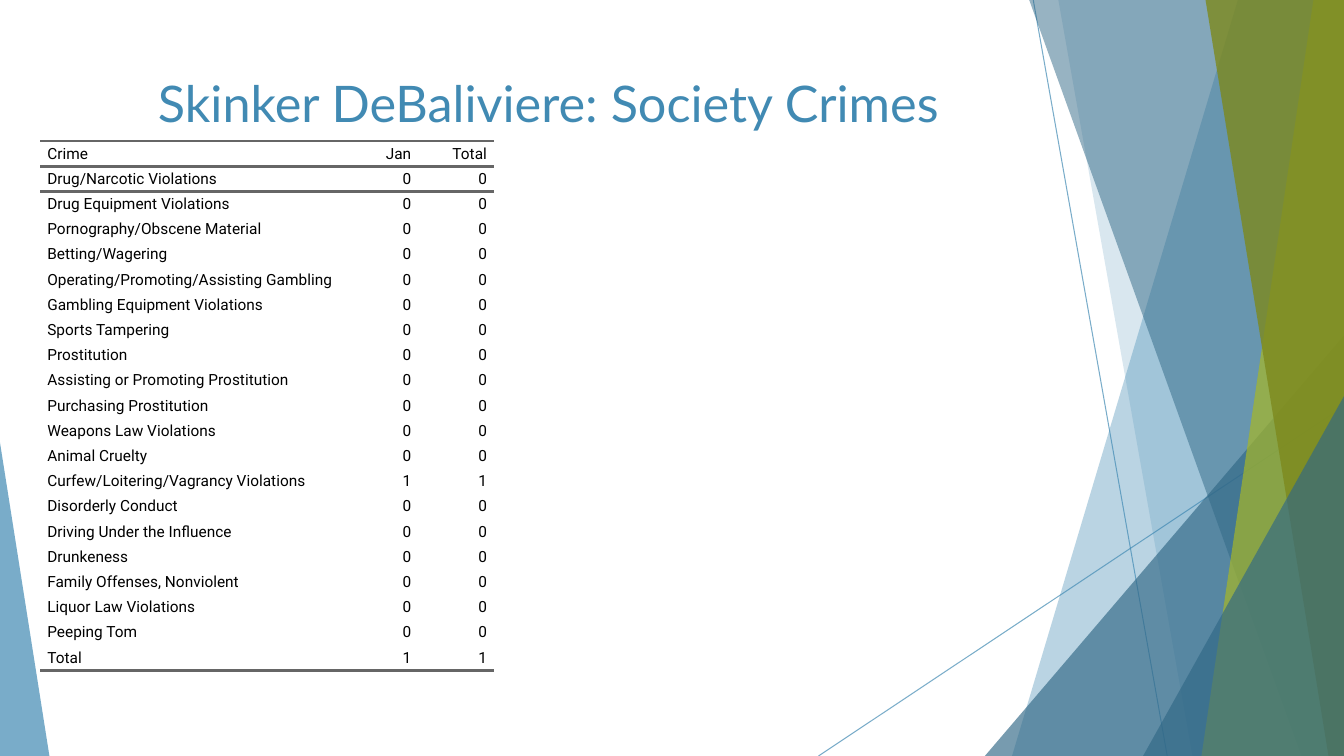
from lxml import etree
from pptx import Presentation
from pptx import util as u
from pptx.dml.color import RGBColor
from pptx.enum import shapes, text
from pptx.oxml.ns import qn

BLUE = RGBColor(0x41, 0x8A, 0xB3)
DEEP = RGBColor(0x31, 0x68, 0x86)
LIME = RGBColor(0xA6, 0xB7, 0x27)
OLIVE = RGBColor(0x7D, 0x89, 0x1D)
RULE = RGBColor(0x66, 0x66, 0x66)
BLACK = RGBColor(0, 0, 0)

W, H = u.Inches(13.333), u.Inches(7.5)
ROW_H = H // 30
PAD = u.Inches(0.07)
NO_STYLE = "{2D5ABB26-0587-4C30-8999-92F81FD0307C}"

CRIMES = [
    "Drug/Narcotic Violations", "Drug Equipment Violations",
    "Pornography/Obscene Material", "Betting/Wagering",
    "Operating/Promoting/Assisting Gambling", "Gambling Equipment Violations",
    "Sports Tampering", "Prostitution", "Assisting or Promoting Prostitution",
    "Purchasing Prostitution", "Weapons Law Violations", "Animal Cruelty",
    "Curfew/Loitering/Vagrancy Violations", "Disorderly Conduct",
    "Driving Under the Influence", "Drunkeness", "Family Offenses, Nonviolent",
    "Liquor Law Violations", "Peeping Tom",
]
JAN = {"Curfew/Loitering/Vagrancy Violations": 1}


def px(share):
    """Percent of the slide width."""
    return u.Emu(round(W * share / 100))


def py(share):
    """Percent of the slide height."""
    return u.Emu(round(H * share / 100))


def apply(obj, **values):
    for name, value in values.items():
        setattr(obj, name, value)


def set_alpha(sp, percent):
    color = next(sp._element.spPr.iter(qn("a:srgbClr")))
    etree.SubElement(color, qn("a:alpha"), val=str(percent * 1000))


def paint(sp, color, alpha):
    sp.shadow.inherit = False
    sp.fill.solid()
    sp.fill.fore_color.rgb = color
    set_alpha(sp, alpha)
    sp.line.fill.background()


def add_line(s, x1, y1, x2, y2):
    line = s.shapes.add_connector(
        shapes.MSO_CONNECTOR.STRAIGHT, px(x1), py(y1), px(x2), py(y2))
    line.line.color.rgb = BLUE
    line.line.width = u.Pt(0.75)
    set_alpha(line, 70)
    etree.SubElement(line._element.spPr, qn("a:effectLst"))


def add_facet(s, top_x, bottom_x, color, alpha):
    """Full-height panel from a slanted left edge to the right of the slide."""
    fb = s.shapes.build_freeform(px(top_x), 0)
    fb.add_line_segments([(W, 0), (W, H), (px(bottom_x), H)], close=True)
    paint(fb.convert_to_shape(), color, alpha)


def add_corner(s, left, top, width, apex, color, alpha):
    """Triangle that stands on the bottom edge, with its apex at 0 or 1."""
    sp = s.shapes.add_shape(shapes.MSO_SHAPE.ISOSCELES_TRIANGLE,
                            px(left), py(top), px(width), H - py(top))
    sp.adjustments[0] = apex
    paint(sp, color, alpha)


def add_rules(cell, sides):
    tcPr = cell._tc.get_or_add_tcPr()
    for side in sides:
        ln = etree.SubElement(tcPr, qn("a:ln" + side), w=str(u.Pt(2)))
        fill = etree.SubElement(ln, qn("a:solidFill"))
        etree.SubElement(fill, qn("a:srgbClr"), val=str(RULE))


def fill_cell(cell, value, align, sides):
    add_rules(cell, sides)
    cell.fill.background()
    apply(cell, margin_left=PAD, margin_right=PAD, margin_top=0,
          margin_bottom=0, vertical_anchor=text.MSO_ANCHOR.MIDDLE)
    p = cell.text_frame.paragraphs[0]
    p.alignment = align
    r = p.add_run()
    r.text = str(value)
    apply(r.font, name="Roboto", size=u.Pt(11), bold=False)
    r.font.color.rgb = BLACK


def add_crime_table(s, left, top, col_shares):
    counts = [(crime, JAN.get(crime, 0)) for crime in CRIMES]
    counts.append(("Total", sum(JAN.values())))
    rows = [("Crime", "Jan", "Total")] + [(c, n, n) for c, n in counts]
    frame = s.shapes.add_table(len(rows), len(col_shares), px(left), py(top),
                               px(sum(col_shares)), ROW_H * len(rows))
    table = frame.table
    apply(table, first_row=False, horz_banding=False)
    table._tbl.tblPr.find(qn("a:tableStyleId")).text = NO_STYLE
    for col, share in zip(table.columns, col_shares):
        col.width = px(share)
    rules = {0: "TB", 1: "T", len(rows) - 1: "B"}
    for i, row in enumerate(rows):
        table.rows[i].height = ROW_H
        for j, value in enumerate(row):
            align = text.PP_ALIGN.RIGHT if j else text.PP_ALIGN.LEFT
            fill_cell(table.cell(i, j), value, align, rules.get(i, ""))


def add_title(s, words, left, top, width, height):
    tf = s.shapes.add_textbox(px(left), py(top), px(width), py(height)).text_frame
    apply(tf, word_wrap=True, vertical_anchor=text.MSO_ANCHOR.TOP)
    p = tf.paragraphs[0]
    p.alignment = text.PP_ALIGN.CENTER
    r = p.add_run()
    r.text = words
    apply(r.font, name="Lato", size=u.Pt(36))
    r.font.color.rgb = BLUE


def main():
    prs = Presentation()
    apply(prs, slide_width=W, slide_height=H)
    s = prs.slides.add_slide(prs.slide_layouts[6])

    # Faceted backdrop, from back to front
    add_line(s, 76.88, 0, 86.85, 100)
    add_line(s, 100, 53.73, 60.9, 100)
    add_facet(s, 92.1, 75.3, BLUE, 36)
    add_facet(s, 78.75, 88.73, BLUE, 20)
    add_corner(s, 73.28, 44.4, 26.72, 1, DEEP, 66)
    add_facet(s, 76.58, 96.83, DEEP, 50)
    add_facet(s, 97.73, 89.4, LIME, 70)
    add_facet(s, 89.7, 98.85, OLIVE, 80)
    add_corner(s, 85.05, 52.4, 14.95, 1, DEEP, 66)
    add_corner(s, 0, 58.53, 3.68, 0, BLUE, 70)

    # Crime counts and title
    add_crime_table(s, 3, 18.67, (22.5, 5.63, 5.63))
    add_title(s, "Skinker DeBaliviere: Society Crimes", 5.55, 8.93, 70.5, 19.2)

    prs.save("out.pptx")


if __name__ == "__main__":
    main()
